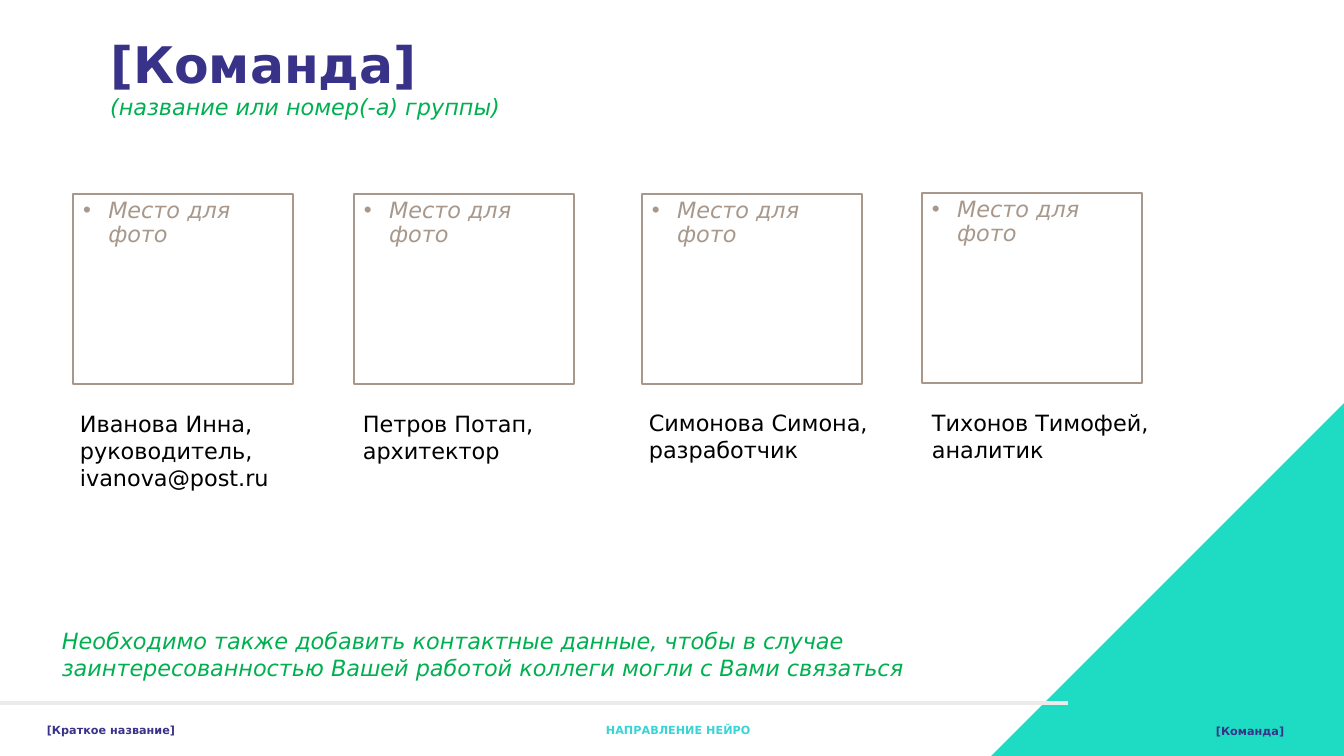
from lxml import etree
from pptx import Presentation, util as u
from pptx.dml.color import RGBColor
from pptx.enum import shapes, text
from pptx.oxml.ns import qn

# Content
TITLE = ["[Команда]", "(название или номер(-а) группы)"]
PHOTO = "Место для фото"
# photo left, photo top, caption left, caption top, caption width, caption lines
TEAM = [
    (73, 194, 70, 405, 231, ["Иванова Инна,", "руководитель,", "ivanova@post.ru"]),
    (354, 194, 353, 405, 220, ["Петров Потап,", "архитектор"]),
    (642, 194, 639, 404, 245, ["Симонова Симона,", "разработчик"]),
    (922, 193, 922, 404, 243, ["Тихонов Тимофей,", "аналитик"]),
]
CONTACT_NOTE = ("Необходимо также добавить контактные данные, чтобы в случае "
                "заинтересованностью Вашей работой коллеги могли с Вами связаться")
# left, top, width, colour, wording
FOOTER = [
    (37, 718, 200, "indigo", "[Краткое название]"),
    (596, 718, 172, "aqua", "НАПРАВЛЕНИЕ НЕЙРО"),
    (1206, 719, 138, "indigo", "[Команда]"),
]

# Look
COLORS = {"indigo": "383288", "green": "00B050", "taupe": "A7988B", "teal": "1EDCC3",
          "aqua": "38D4D6", "rule": "EDEAE8", "black": "000000", "white": "FFFFFF"}
HEADING = {"size": u.Pt(36), "bold": True, "italic": False}
PLAIN = {"size": u.Pt(16), "bold": False, "italic": False}
HINT = {"size": u.Pt(16), "bold": False, "italic": True}
SMALL = {"size": u.Pt(8), "bold": True, "italic": False}
FRAME = {"word_wrap": True, "auto_size": text.MSO_AUTO_SIZE.NONE,
         "vertical_anchor": text.MSO_ANCHOR.TOP}
PARAGRAPH = {"alignment": text.PP_ALIGN.LEFT, "line_spacing": 1.0, "space_before": u.Pt(0)}
PHOTO_PARAGRAPH = {**PARAGRAPH, "line_spacing": 0.9, "space_before": u.Pt(10)}
SLIDE_W, SLIDE_H = 1344, 756
PHOTO_W, PHOTO_H = 220, 190
CORNER = 353


def px(n):
    return u.Inches(n / 100.8)


def rgb(name):
    return RGBColor.from_string(COLORS[name])


def apply(target, values):
    for key, value in values.items():
        setattr(target, key, value)


def place(shape, *box):
    apply(shape, dict(zip(("left", "top", "width", "height"), map(px, box))))
    return shape


def write(shape, lines, paragraph_format=PARAGRAPH):
    """Each line is (wording, font values, colour)."""
    frame = shape.text_frame
    apply(frame, FRAME)
    for i, (wording, font, color) in enumerate(lines):
        paragraph = frame.add_paragraph() if i else frame.paragraphs[0]
        apply(paragraph, paragraph_format)
        run = paragraph.add_run()
        run.text = wording
        apply(run.font, {"name": "DejaVu Sans", **font})
        run.font.color.rgb = rgb(color)


def label(box, lines):
    write(slide.shapes.add_textbox(*map(px, box)), lines)


def fill_photo(photo):
    photo.fill.solid()
    photo.fill.fore_color.rgb = rgb("white")
    photo.line.color.rgb = rgb("taupe")
    photo.line.width = u.Pt(1)
    write(photo, [(PHOTO, HINT, "taupe")], PHOTO_PARAGRAPH)
    properties = photo.text_frame.paragraphs[0]._p.get_or_add_pPr()
    properties.set("marL", str(u.Inches(0.25)))
    properties.set("indent", str(-u.Inches(0.25)))
    etree.SubElement(properties, qn("a:buFont")).set("typeface", "Arial")
    etree.SubElement(properties, qn("a:buChar")).set("char", "•")


prs = Presentation()
prs.slide_width, prs.slide_height = px(SLIDE_W), px(SLIDE_H)
slide = prs.slides.add_slide(prs.slide_layouts[1])
title, first_photo = slide.placeholders

# Corner triangle
corner = slide.shapes.add_shape(shapes.MSO_SHAPE.RIGHT_TRIANGLE, *map(
    px, (SLIDE_W - CORNER, SLIDE_H - CORNER, CORNER, CORNER)))
corner.rotation = 270
corner.shadow.inherit = False
corner.fill.solid()
corner.fill.fore_color.rgb = rgb("teal")
corner.line.fill.background()

# Title with group name
place(title, 100, 28, 1200, 99)
write(title, [(TITLE[0], HEADING, "indigo"), (TITLE[1], HINT, "green")])

# Team members
for i, (left, top, caption_left, caption_top, caption_w, caption) in enumerate(TEAM):
    if i:
        photo = slide.shapes.add_shape(shapes.MSO_SHAPE.RECTANGLE, 0, 0, 0, 0)
        photo.shadow.inherit = False
    else:
        photo = first_photo
    fill_photo(place(photo, left, top, PHOTO_W, PHOTO_H))
    label((caption_left, caption_top, caption_w, 10 + 27 * len(caption)),
          [(line, PLAIN, "black") for line in caption])

# Contact note
label((52, 622, 955, 64), [(CONTACT_NOTE, HINT, "green")])

# Footer
rule = slide.shapes.add_connector(shapes.MSO_CONNECTOR.STRAIGHT,
                                  px(0), px(703), px(1068), px(703))
rule.line.color.rgb = rgb("rule")
rule.line.width = u.Pt(3)
etree.SubElement(rule._element.spPr, qn("a:effectLst"))
for left, top, width, color, wording in FOOTER:
    label((left, top, width, 24), [(wording, SMALL, color)])

prs.save("out.pptx")
